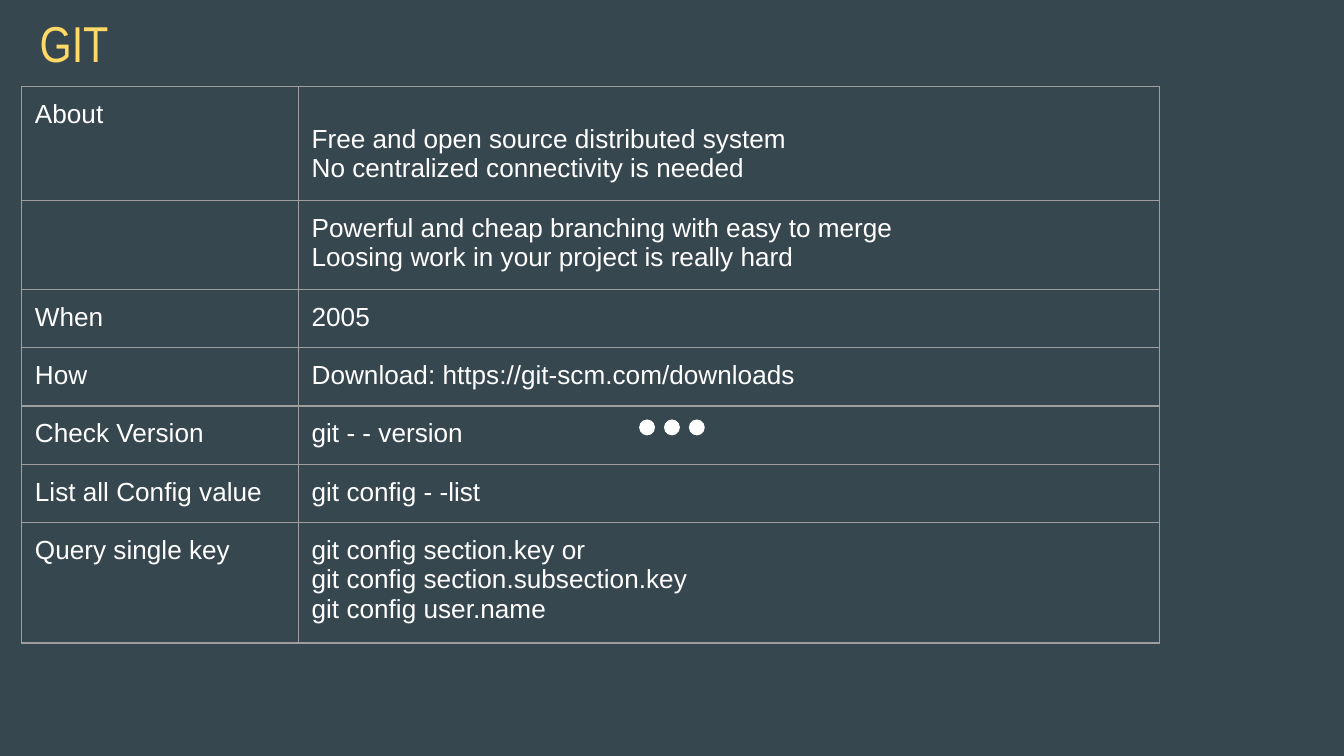
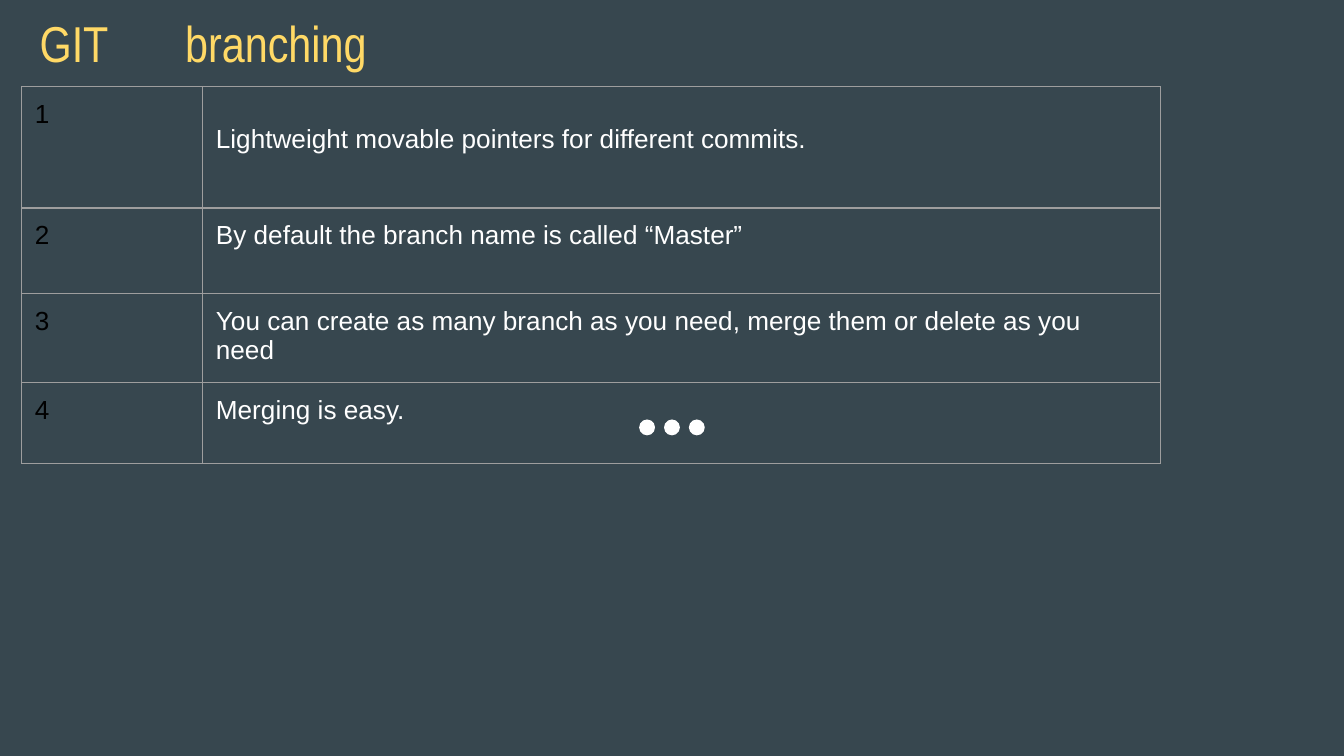
from lxml import etree
from pptx import Presentation
from pptx.dml.color import RGBColor
from pptx.enum.shapes import MSO_SHAPE
from pptx.enum.text import MSO_ANCHOR
from pptx.oxml import parse_xml
from pptx.oxml.ns import nsdecls, qn
from pptx.util import Cm, Pt

OVAL = MSO_SHAPE.OVAL
MIDDLE = MSO_ANCHOR.MIDDLE

COLORS = {
    "background": "37474F",
    "title": "FFD966",
    "text": "FFFFFF",
    "number": "000000",
    "border": "9E9E9E",
}
INSET = 0.25
FIRST_ROW_INSET = 0.71  # the first description sits lower in its cell


def set_font(paragraph, name, size, color):
    paragraph.font.name = name
    paragraph.font.size = Pt(size)
    paragraph.font.color.rgb = RGBColor.from_string(COLORS[color])


def style_cell(cell, text, color, top):
    cell.margin_left = cell.margin_right = cell.margin_bottom = Cm(INSET)
    cell.margin_top = Cm(top)
    properties = cell._tc.get_or_add_tcPr()
    for side in ("lnL", "lnR", "lnT", "lnB"):
        properties.append(parse_xml(
            f'<a:{side} {nsdecls("a")} w="{Pt(0.75)}"><a:solidFill>'
            f'<a:srgbClr val="{COLORS["border"]}"/></a:solidFill></a:{side}>'))
    cell.fill.background()
    cell.text = text
    for paragraph in cell.text_frame.paragraphs:
        set_font(paragraph, "Arial", 14, color)


# Content: title, label colour, column widths, and rows of (height, label, description)
TOPICS = [
    ("GIT", "text", (5.23, 16.28), [
        (2.08, "About", "Free and open source distributed system\n"
                        "No centralized connectivity is needed"),
        (1.62, "", "Powerful and cheap branching with easy to merge\n"
                   "Loosing work in your project is really hard"),
        (1.1, "When", "2005"),
        (1.1, "How", "Download: https://git-scm.com/downloads"),
        (1.1, "Check Version", "git - - version"),
        (1.1, "List all Config value", "git config - -list"),
        (2.17, "Query single key", "git config section.key or\n"
                                   "git config section.subsection.key\n"
                                   "git config user.name"),
    ]),
    ("GIT\tbranching", "number", (3.42, 18.1), [
        (2.29, "1", "Lightweight movable pointers for different commits."),
        (1.62, "2", "By default the branch name is called “Master”"),
        (1.62, "3", "You can create as many branch as you need, "
                    "merge them or delete as you need"),
        (1.52, "4", "Merging is easy."),
    ]),
]

prs = Presentation()
prs.slide_width, prs.slide_height = Cm(25.4), Cm(14.29)
blank = prs.slide_layouts[6]

# Shared background
backdrop = prs.slide_master.background.fill
backdrop.solid()
backdrop.fore_color.rgb = RGBColor.from_string(COLORS["background"])

for title, label_color, widths, rows in TOPICS:
    slide = prs.slides.add_slide(blank)

    # Three dots behind the table
    for i in range(3):
        dot = slide.shapes.add_shape(OVAL, Cm(12.08 + 0.47 * i), Cm(7.93), Cm(0.3), Cm(0.3))
        dot.shadow.inherit = False
        dot.fill.solid()
        dot.fill.fore_color.rgb = RGBColor.from_string(COLORS["text"])
        dot.line.fill.background()

    # Title
    heading = slide.shapes.add_textbox(Cm(0.5), Cm(0), Cm(21.67), Cm(1.6)).text_frame
    heading.word_wrap = True
    heading.vertical_anchor = MIDDLE
    heading.margin_left = heading.margin_right = Cm(INSET)
    heading.margin_top = heading.margin_bottom = Cm(INSET)
    heading.text = title
    line = heading.paragraphs[0]
    tabs = etree.SubElement(line._p.get_or_add_pPr(), qn("a:tabLst"))
    etree.SubElement(tabs, qn("a:tab"), pos=str(Cm(2.75)), algn="l")
    set_font(line, "Arial Narrow", 27, "title")

    # Table
    table = slide.shapes.add_table(
        len(rows), 2, Cm(0.41), Cm(1.64), Cm(sum(widths)),
        Cm(sum(row[0] for row in rows))).table
    table.first_row = table.horz_banding = False
    for column, width in zip(table.columns, widths):
        column.width = Cm(width)
    for r, (height, label, description) in enumerate(rows):
        table.rows[r].height = Cm(height)
        style_cell(table.cell(r, 0), label, label_color, INSET)
        style_cell(table.cell(r, 1), description, "text", INSET if r else FIRST_ROW_INSET)

prs.save("out.pptx")
